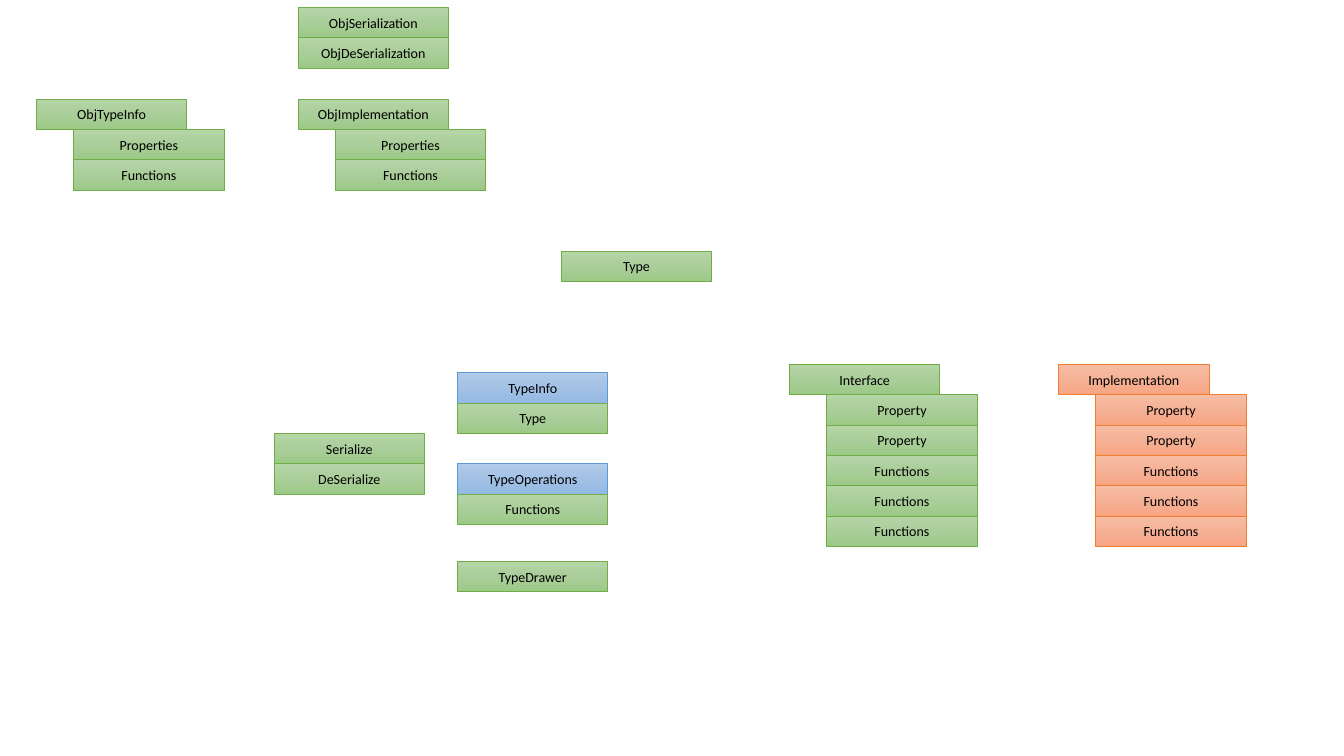
from copy import deepcopy

from pptx import Presentation
from pptx.dml.color import RGBColor
from pptx.enum.shapes import MSO_SHAPE
from pptx.enum.text import MSO_ANCHOR, PP_ALIGN
from pptx.oxml.ns import qn
from pptx.util import Pt

RECTANGLE = MSO_SHAPE.RECTANGLE
MIDDLE = MSO_ANCHOR.MIDDLE
CENTER = PP_ALIGN.CENTER

BOX_WIDTH = 107.4
ROW_HEIGHT = 21.7
INDENT = 26.6

# Each palette: top, middle and bottom of the gradient, then the outline
GREEN = ("B5D5A7", "AACE9A", "9CC987", "70AD47")
BLUE = ("B1CBE9", "A3C1E5", "93B9E4", "5B9BD5")
ORANGE = ("F7BDA5", "F5B196", "F8A582", "ED7D31")


def color(hex_string):
    return RGBColor.from_string(hex_string)


def fill_gradient(box, stop_colors):
    box.fill.gradient()
    box.fill.gradient_angle = 270
    # A new gradient has two stops; add the middle one
    stop_list = box._element.spPr.find(qn("a:gradFill")).find(qn("a:gsLst"))
    stop_list.insert(1, deepcopy(stop_list[0]))
    for stop, position, stop_color in zip(box.fill.gradient_stops, (0, 0.5, 1), stop_colors):
        stop.position = position
        stop.color.rgb = color(stop_color)


def add_box(slide, left, top, label, palette):
    *stop_colors, outline = palette
    box = slide.shapes.add_shape(RECTANGLE, Pt(left), Pt(top), Pt(BOX_WIDTH), Pt(ROW_HEIGHT))
    box.shadow.inherit = False
    fill_gradient(box, stop_colors)
    box.line.color.rgb = color(outline)
    box.line.width = Pt(0.5)

    frame = box.text_frame
    frame.text = label
    frame.word_wrap = True
    frame.vertical_anchor = MIDDLE
    paragraph = frame.paragraphs[0]
    paragraph.alignment = CENTER
    font = paragraph.runs[0].font
    font.name = "Calibri"
    font.size = Pt(10)
    font.color.rgb = color("000000")


def add_stack(slide, left, top, labels, palette=GREEN, head_palette=None):
    """Boxes directly below one another; the first may have its own palette."""
    for row, label in enumerate(labels):
        row_palette = head_palette if head_palette and row == 0 else palette
        add_box(slide, left, top + row * ROW_HEIGHT, label, row_palette)


def add_class(slide, left, top, name, members, palette=GREEN):
    """A class name with its members indented below."""
    add_box(slide, left, top, name, palette)
    add_stack(slide, left + INDENT, top + ROW_HEIGHT, members, palette)


def add_object_region(slide, left, top):
    implementation_left = left + 186.9
    class_top = top + 65.4
    members = ("Properties", "Functions")
    add_class(slide, left, class_top, "ObjTypeInfo", members)
    add_class(slide, implementation_left, class_top, "ObjImplementation", members)
    add_stack(slide, implementation_left, top, ("ObjSerialization", "ObjDeSerialization"))


def add_type_region(slide, left, top):
    type_left = left + 131
    add_stack(slide, left, top + 2 * ROW_HEIGHT, ("Serialize", "DeSerialize"))
    add_stack(slide, type_left, top, ("TypeInfo", "Type"), head_palette=BLUE)
    add_stack(slide, type_left, top + 3 * ROW_HEIGHT, ("TypeOperations", "Functions"),
              head_palette=BLUE)
    add_box(slide, type_left, top + 134.8, "TypeDrawer", GREEN)


def add_interface_region(slide, left, top):
    members = ["Property"] * 2 + ["Functions"] * 3
    add_class(slide, left, top, "Interface", members)
    add_class(slide, left + 192.2, top, "Implementation", members, ORANGE)


def main():
    presentation = Presentation()
    presentation.slide_width = Pt(960)
    presentation.slide_height = Pt(540)
    slide = presentation.slides.add_slide(presentation.slide_layouts[6])

    # Objects, the shared type, type services, interface and implementation
    add_object_region(slide, 26, 5.3)
    add_box(slide, 401, 179.4, "Type", GREEN)
    add_type_region(slide, 195.8, 266.2)
    add_interface_region(slide, 563.9, 260.2)

    presentation.save("out.pptx")


if __name__ == "__main__":
    main()
